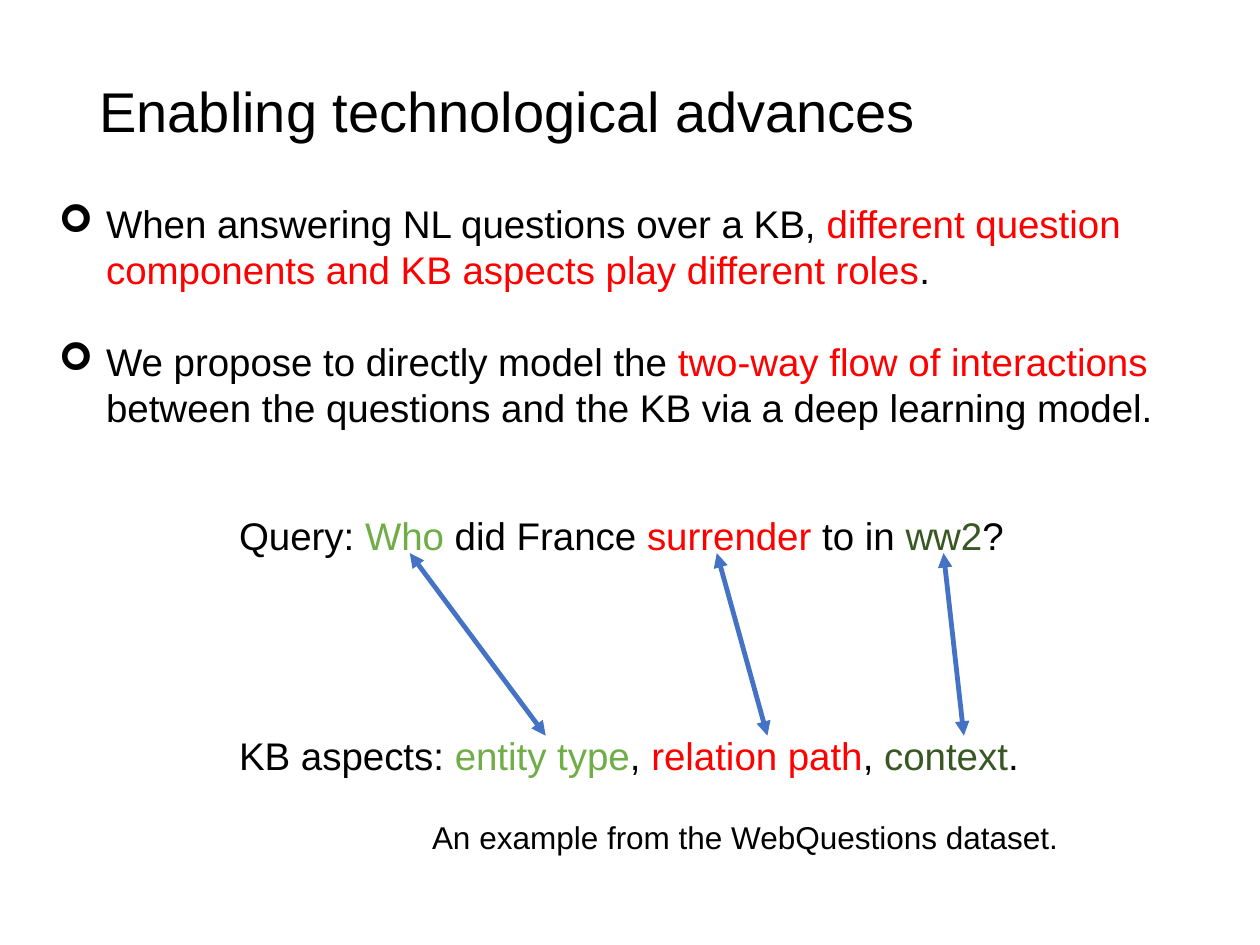
from lxml import etree
from pptx import Presentation
from pptx.dml.color import RGBColor
from pptx.enum.shapes import MSO_CONNECTOR
from pptx.enum.text import MSO_ANCHOR, PP_ALIGN
from pptx.oxml.ns import qn
from pptx.util import Cm, Pt

STRAIGHT = MSO_CONNECTOR.STRAIGHT
LEFT = PP_ALIGN.LEFT
MIDDLE = MSO_ANCHOR.MIDDLE
BLACK, RED, GREEN, DARK_GREEN, BLUE = "000000", "FF0000", "70AD47", "385723", "4472C4"


def rgb(value):
    return RGBColor.from_string(value)


def add_run(p, text, size=22, color=BLACK, font="Arial"):
    r = p.add_run()
    r.text = text
    r.font.size = Pt(size)
    r.font.name = font
    r.font.color.rgb = rgb(color)


prs = Presentation()
prs.slide_width, prs.slide_height = Cm(25.4), Cm(19.05)
s = prs.slides.add_slide(prs.slide_layouts[5])

title = s.shapes.title
title.left, title.top, title.width, title.height = Cm(1.75), Cm(1.04), Cm(17.58), Cm(2.54)
title.text_frame.vertical_anchor = MIDDLE
p = title.text_frame.paragraphs[0]
p.alignment = LEFT
p.line_spacing = 0.9
add_run(p, "Enabling technological advances", size=32)

bullets = [
    [("When answering NL questions over a KB, ", BLACK),
     ("different question components and KB aspects play different roles", RED),
     (".", BLACK)],
    [("We propose to directly model the ", BLACK),
     ("two-way flow of interactions", RED),
     (" between the questions and the KB via a deep learning model.", BLACK)],
]
tf = s.shapes.add_textbox(Cm(0.94), Cm(3.91), Cm(23.24), Cm(4.95)).text_frame
tf.word_wrap = True
for i, runs in enumerate(bullets):
    p = tf.add_paragraph() if i else tf.paragraphs[0]
    p.space_before = Pt(26 * i)
    pPr = p._p.get_or_add_pPr()
    pPr.set("marL", str(Cm(0.95)))
    pPr.set("indent", str(Cm(-0.95)))
    etree.SubElement(pPr, qn("a:buFont"), typeface="Wingdings")
    etree.SubElement(pPr, qn("a:buChar"), char="➢")
    for text, color in runs:
        add_run(p, text, color=color)

example = s.shapes.add_group_shape().shapes
example_lines = [
    (10.19, 16.13, [("Query: ", BLACK), ("Who", GREEN), (" did France ", BLACK),
                    ("surrender", RED), (" to in ", BLACK), ("ww2", DARK_GREEN), ("?", BLACK)]),
    (14.63, 16.43, [("KB aspects: ", BLACK), ("entity type", GREEN), (", ", BLACK),
                    ("relation path", RED), (", ", BLACK), ("context", DARK_GREEN), (".", BLACK)]),
]
for top, width, runs in example_lines:
    tf = example.add_textbox(Cm(4.57), Cm(top), Cm(width), Cm(1.19)).text_frame
    tf.word_wrap = False
    for text, color in runs:
        add_run(tf.paragraphs[0], text, color=color)

for x1, x2 in [(8.26, 11), (14.45, 15.47), (19.02, 19.43)]:
    arrow = example.add_connector(STRAIGHT, Cm(x1), Cm(11.15), Cm(x2), Cm(14.83))
    arrow.line.color.rgb = rgb(BLUE)
    arrow.line.width = Pt(2.75)
    ln = arrow.line._get_or_add_ln()
    for end in ("a:headEnd", "a:tailEnd"):
        etree.SubElement(ln, qn(end), type="triangle")
    etree.SubElement(arrow._element.spPr, qn("a:effectLst"))

tf = s.shapes.add_textbox(Cm(8.46), Cm(16.36), Cm(13.26), Cm(1.02)).text_frame
tf.word_wrap = False
add_run(tf.paragraphs[0], "An example from the WebQuestions dataset.", size=18)

prs.save("out.pptx")
